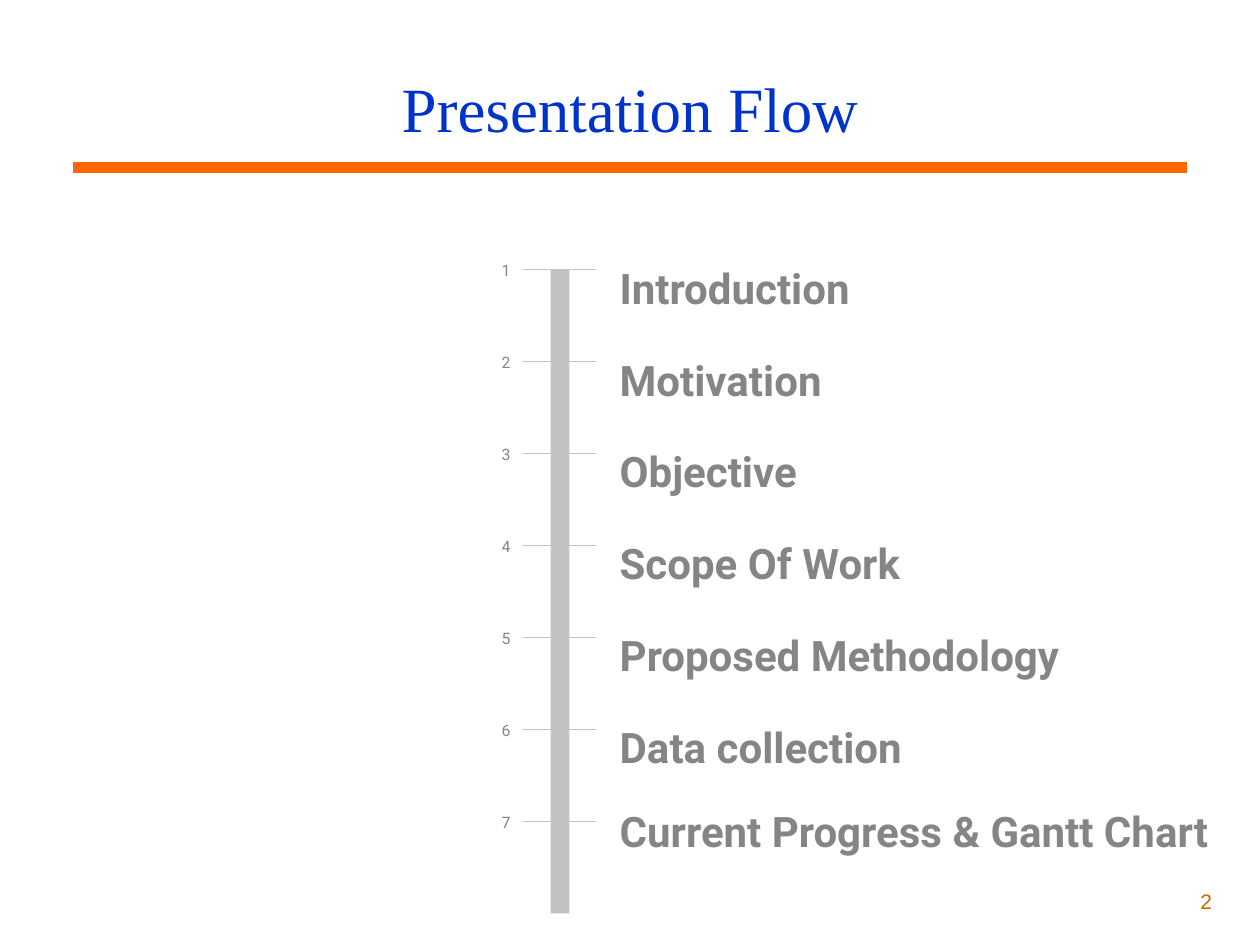
from lxml import etree
from pptx import Presentation
from pptx import util as u
from pptx.dml import color
from pptx.enum import shapes, text
from pptx.oxml import ns

COLORS = {
    "background": "FFFFFF",
    "title": "0033CC",
    "rule": "FF6600",
    "page": "CC6600",
    "label": "858585",
    "timeline": "C2C2C2",
}
STEPS = [
    "Introduction",
    "Motivation",
    "Objective",
    "Scope Of Work",
    "Proposed Methodology",
    "Data collection",
    "Current Progress & Gantt Chart",
]
FIRST_ROW = 21.4
STEP_ROWS = 7.3
LAST_LABEL_LIFT = 0.7


class Deck:
    columns, rows = 100, 75

    def __init__(self, width, height):
        self.prs = Presentation()
        self.prs.slide_width = u.Inches(width)
        self.prs.slide_height = u.Inches(height)
        self.s = self.prs.slides.add_slide(self.prs.slide_layouts[6])
        fill = self.s.background.fill
        fill.solid()
        fill.fore_color.rgb = self.rgb("background")

    def rgb(self, name):
        return color.RGBColor.from_string(COLORS[name])

    def x(self, column):
        return round(self.prs.slide_width * column / self.columns)

    def y(self, row):
        return round(self.prs.slide_height * row / self.rows)

    def box(self, left, top, width, height):
        return self.x(left), self.y(top), self.x(width), self.y(height)

    def group(self):
        return self.s.shapes.add_group_shape()

    def text(self, parent, words, box, size, ink, font="Roboto", bold=False,
             align=text.PP_ALIGN.LEFT, anchor=text.MSO_ANCHOR.TOP,
             inset=0.1, spacing=1.15):
        sp = parent.shapes.add_textbox(*self.box(*box))
        tf = sp.text_frame
        tf.word_wrap = True
        tf.vertical_anchor = anchor
        tf.margin_left = tf.margin_right = u.Inches(inset)
        tf.margin_top = tf.margin_bottom = u.Inches(inset)
        p = tf.paragraphs[0]
        p.alignment = align
        p.line_spacing = spacing
        r = p.add_run()
        r.text = words
        r.font.name = font
        r.font.size = u.Pt(size)
        r.font.bold = bold
        r.font.color.rgb = self.rgb(ink)

    def bar(self, parent, box, ink):
        sp = parent.shapes.add_shape(shapes.MSO_SHAPE.RECTANGLE, *self.box(*box))
        sp.shadow.inherit = False
        sp.fill.solid()
        sp.fill.fore_color.rgb = self.rgb(ink)
        sp.line.fill.background()

    def line(self, parent, start, end, row, ink, weight):
        sp = parent.shapes.add_connector(
            shapes.MSO_CONNECTOR.STRAIGHT,
            self.x(start), self.y(row), self.x(end), self.y(row))
        sp.line.color.rgb = self.rgb(ink)
        sp.line.width = u.Pt(weight)
        etree.SubElement(sp._element.spPr, ns.qn("a:effectLst"))

    def step(self, number, label, row, lift=0):
        grp = self.group()
        self.text(grp, label, (48.2, row - 2.2 - lift, 50.3, 5), 24, "label", bold=True)
        self.text(grp, str(number), (33.2, row - 1.8, 8.3, 3.8), 9, "label",
                  align=text.PP_ALIGN.RIGHT)
        self.bar(grp, (43.7, row, 1.5, STEP_ROWS), "timeline")
        self.line(grp, 47.3, 41.5, row, "timeline", 0.75)


def main():
    deck = Deck(10, 7.5)
    deck.line(deck.s, 5.8, 94.2, 13.3, "rule", 6)
    deck.text(deck.s, "2", (93.7, 70, 3, 2.9), 12, "page", font="Arial",
              align=text.PP_ALIGN.RIGHT, inset=0.05, spacing=1)
    deck.text(deck.s, "Presentation Flow", (7.5, 3.8, 85, 9.5), 36, "title",
              font="Times New Roman", align=text.PP_ALIGN.CENTER,
              anchor=text.MSO_ANCHOR.MIDDLE, inset=0.05, spacing=1)
    for i, label in enumerate(STEPS):
        lift = LAST_LABEL_LIFT if label == STEPS[-1] else 0
        deck.step(i + 1, label, FIRST_ROW + i * STEP_ROWS, lift)
    deck.prs.save("out.pptx")


if __name__ == "__main__":
    main()
